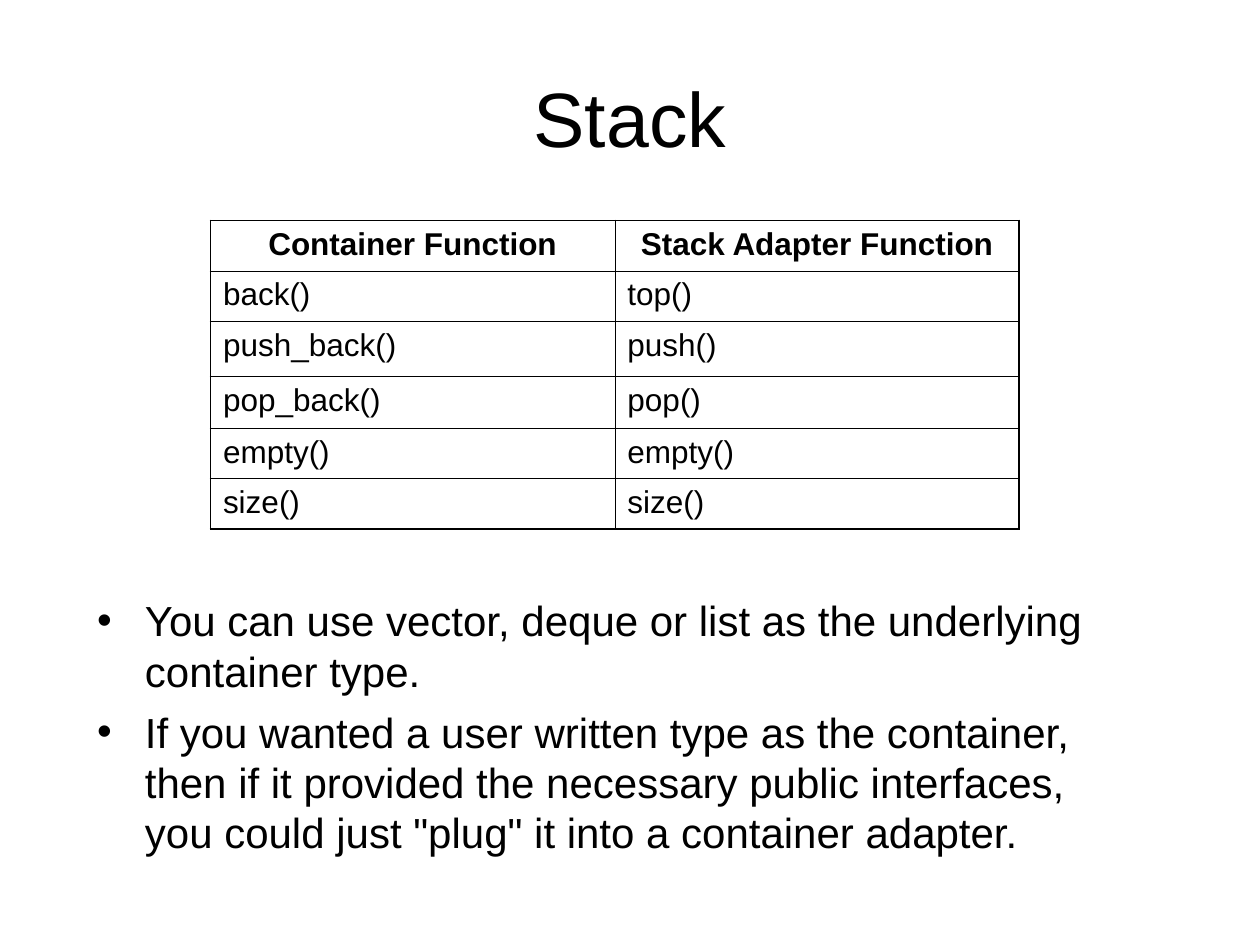
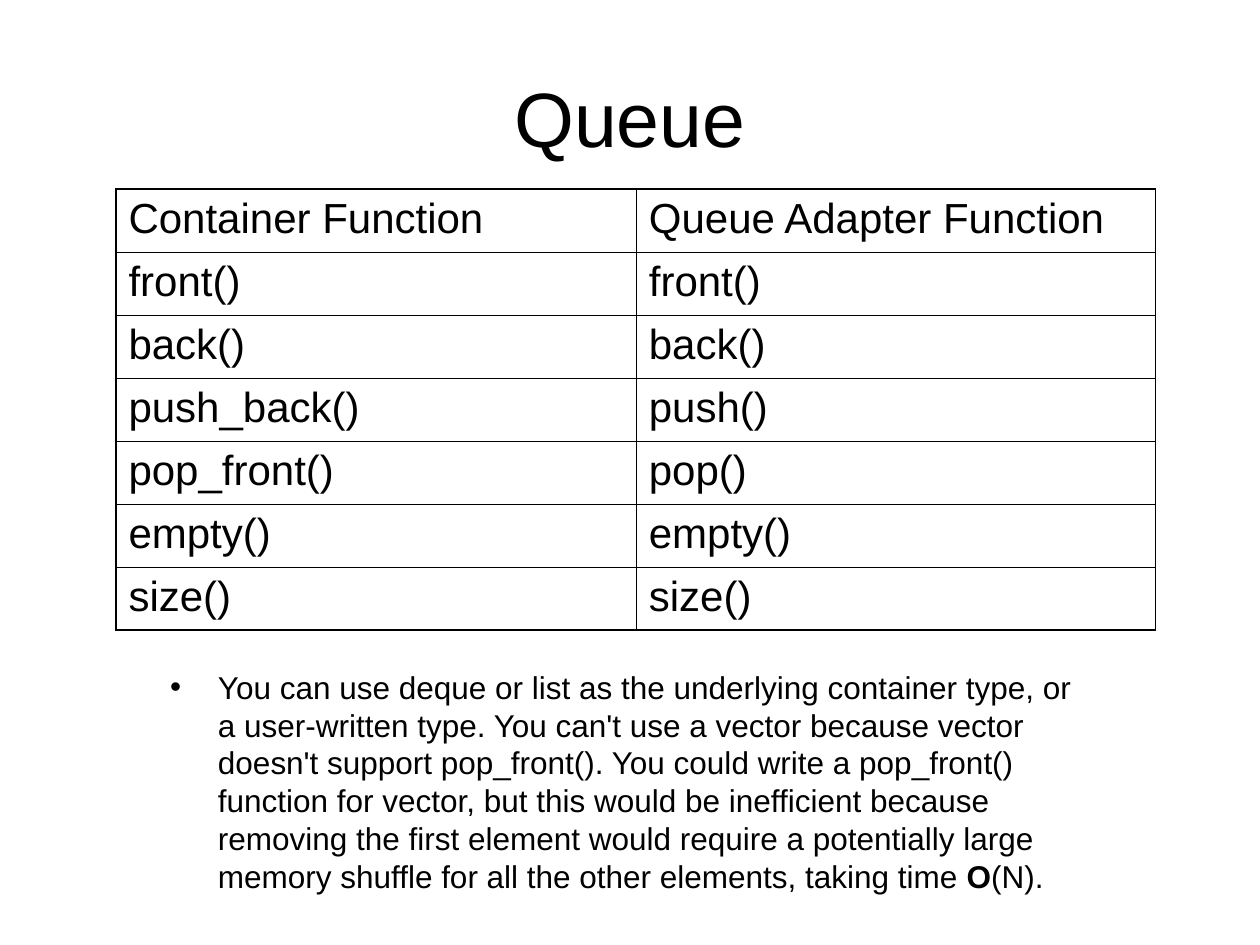
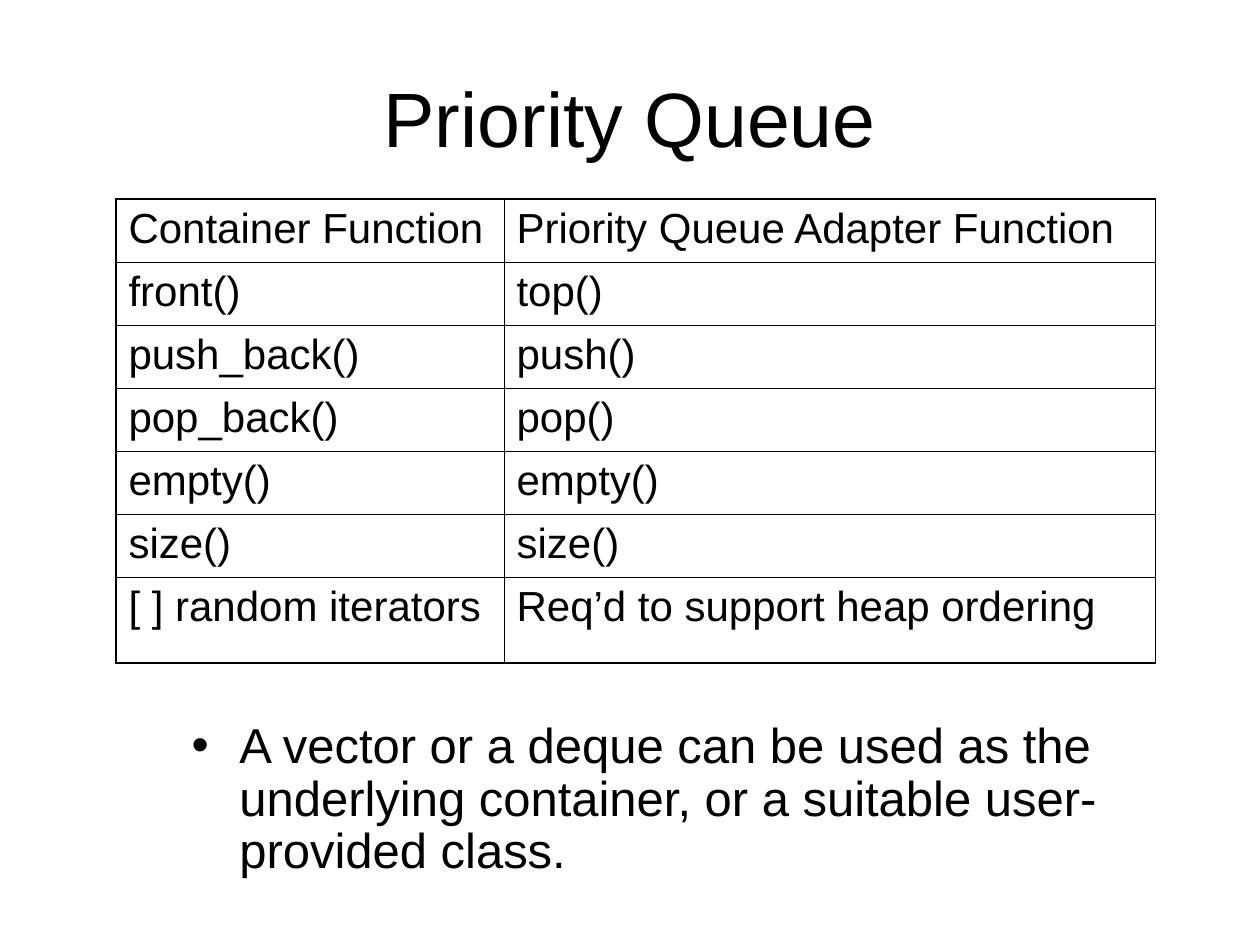
from lxml import etree
from pptx import Presentation
from pptx.dml.color import RGBColor
from pptx.enum import text
from pptx.oxml import ns
from pptx.util import Inches, Pt

BLACK = RGBColor(0, 0, 0)
FONT = "Arial"
TITLE_BOX = (0.5, 0.3, 9, 1.25)
OUTER_LINE, INNER_LINE = Pt(1.08), Pt(0.45)
BULLET_INDENT = Inches(0.38)


def style(paragraph, size, bold=None):
    font = paragraph.font
    font.name, font.size, font.bold = FONT, Pt(size), bold
    font.color.rgb = BLACK


def place(placeholder, box):
    placeholder.left, placeholder.top, placeholder.width, placeholder.height = map(Inches, box)
    frame = placeholder.text_frame
    frame.word_wrap = True
    frame.auto_size = text.MSO_AUTO_SIZE.NONE
    return frame


def add_title(slide, title):
    frame = place(slide.shapes.title, TITLE_BOX)
    frame.vertical_anchor = text.MSO_ANCHOR.MIDDLE
    frame.text = title
    heading = frame.paragraphs[0]
    heading.alignment = text.PP_ALIGN.CENTER
    style(heading, 44)


def add_remarks(slide, box, remarks, size, gap=0, line_spacing=None):
    frame = place(slide.placeholders[1], box)
    frame.vertical_anchor = text.MSO_ANCHOR.TOP
    for index, remark in enumerate(remarks):
        paragraph = frame.add_paragraph() if index else frame.paragraphs[0]
        properties = paragraph._p.get_or_add_pPr()
        properties.set("marL", str(BULLET_INDENT))
        properties.set("indent", str(-BULLET_INDENT))
        paragraph.space_before = Pt(gap if index else 0)
        paragraph.line_spacing = line_spacing
        style(paragraph, size)
        for position, part in enumerate(remark.split("**")):
            run = paragraph.add_run()
            run.text = part
            if position % 2:
                run.font.bold = True


def add_borders(cell, widths):
    properties = cell._tc.get_or_add_tcPr()
    for index, (side, width) in enumerate(widths.items()):
        line = etree.Element(ns.qn(f"a:ln{side}"), w=str(width))
        fill = etree.SubElement(line, ns.qn("a:solidFill"))
        etree.SubElement(fill, ns.qn("a:srgbClr"), val=str(BLACK))
        properties.insert(index, line)


def add_functions(slide, corner, widths, heights, rows, size, strong_header=False):
    left, top = corner
    table = slide.shapes.add_table(
        len(rows), len(widths), Inches(left), Inches(top),
        Inches(sum(widths)), Inches(sum(heights))).table
    table.first_row = table.horz_banding = False
    for column, width in zip(table.columns, widths):
        column.width = Inches(width)
    for row, height in zip(table.rows, heights):
        row.height = Inches(height)
    last_row, last_column = len(rows) - 1, len(widths) - 1
    for r, names in enumerate(rows):
        for c, name in enumerate(names):
            cell = table.cell(r, c)
            cell.text = name
            cell.fill.background()
            edges = {"L": c == 0, "R": c == last_column, "T": r == 0, "B": r == last_row}
            add_borders(cell, {side: OUTER_LINE if outer else INNER_LINE
                               for side, outer in edges.items()})
            header = strong_header and r == 0
            entry = cell.text_frame.paragraphs[0]
            entry.alignment = text.PP_ALIGN.CENTER if header else text.PP_ALIGN.LEFT
            style(entry, size, header)


def add_adapter_slide(deck, title, functions, remarks):
    slide = deck.slides.add_slide(deck.slide_layouts[1])
    add_title(slide, title)
    add_remarks(slide, **remarks)
    add_functions(slide, **functions)


def main():
    deck = Presentation()
    deck.slide_width, deck.slide_height = Inches(10), Inches(7.5)

    add_adapter_slide(
        deck, "Stack",
        dict(corner=(1.67, 1.75), widths=[3.21, 3.21],
             heights=[0.4, 0.4, 0.44, 0.41, 0.4, 0.4], size=18, strong_header=True,
             rows=[("Container Function", "Stack Adapter Function"),
                   ("back()", "top()"),
                   ("push_back()", "push()"),
                   ("pop_back()", "pop()"),
                   ("empty()", "empty()"),
                   ("size()", "size()")]),
        dict(box=(0.67, 4.67, 8.42, 2.33), size=24, gap=6, remarks=[
            "You can use vector, deque or list as the underlying container type.",
            "If you wanted a user written type as the container, then if it provided "
            "the necessary public interfaces, you could just \"plug\" it into a "
            "container adapter."]))

    add_adapter_slide(
        deck, "Queue",
        dict(corner=(0.92, 1.5), widths=[4.13, 4.12], heights=[0.5] * 7, size=24,
             rows=[("Container Function", "Queue Adapter Function"),
                   ("front()", "front()"),
                   ("back()", "back()"),
                   ("push_back()", "push()"),
                   ("pop_front()", "pop()"),
                   ("empty()", "empty()"),
                   ("size()", "size()")]),
        dict(box=(1.25, 5.25, 7.5, 2), size=18, remarks=[
            "You can use deque or list as the underlying container type, or a "
            "user-written type. You can't use a vector because vector doesn't support "
            "pop_front(). You could write a pop_front() function for vector, but this "
            "would be inefficient because removing the first element would require a "
            "potentially large memory shuffle for all the other elements, taking time "
            "**O**(N)."]))

    add_adapter_slide(
        deck, "Priority Queue",
        dict(corner=(0.92, 1.58), widths=[3.08, 5.17], heights=[0.5] * 6 + [0.68], size=24,
             rows=[("Container Function", "Priority Queue Adapter Function"),
                   ("front()", "top()"),
                   ("push_back()", "push()"),
                   ("pop_back()", "pop()"),
                   ("empty()", "empty()"),
                   ("size()", "size()"),
                   ("[ ] random iterators", "Req’d to support heap ordering")]),
        dict(box=(1.42, 5.67, 7.42, 1.5), size=28, line_spacing=0.9, remarks=[
            "A vector or a deque can be used as the underlying container, or a "
            "suitable user-provided class."]))

    deck.save("out.pptx")


if __name__ == "__main__":
    main()
